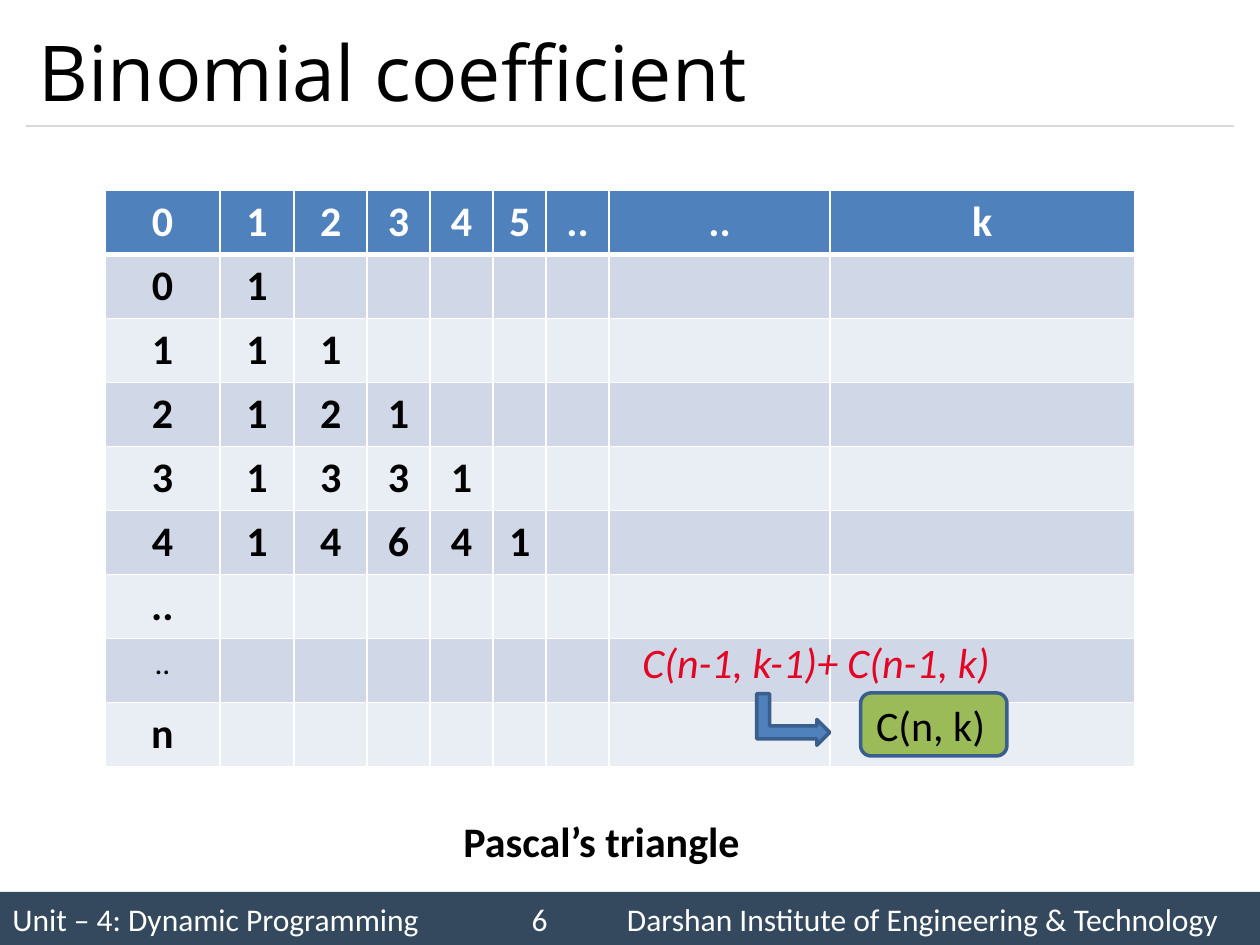
"""Build the slide on binomial coefficients and Pascal's triangle."""
from math import comb

from lxml.etree import SubElement as Sub
from pptx import Presentation
from pptx.dml.color import RGBColor as RGB
from pptx.enum.shapes import MSO_CONNECTOR as Link, MSO_SHAPE as Kind
from pptx.enum.text import MSO_ANCHOR as Anchor, PP_ALIGN as Align
from pptx.oxml.ns import qn
from pptx.util import Cm, Pt

WHITE = RGB(0xFF, 0xFF, 0xFF)
BLACK = RGB(0, 0, 0)
NAVY = RGB(0x34, 0x49, 0x5E)
GREY = RGB(0xD9, 0xD9, 0xD9)
BLUE = RGB(0x4F, 0x81, 0xBD)
EDGE = RGB(0x3A, 0x5F, 0x8C)
GREEN = RGB(0x9B, 0xBB, 0x59)
RED = RGB(0xE4, 0x05, 0x24)
BANDS = RGB(0xD0, 0xD8, 0xE8), RGB(0xE9, 0xED, 0xF4)

HEAD = ["0", "1", "2", "3", "4", "5", "..", "..", "k"]
ROWS = [[n] + [comb(n, k) for k in range(n + 1)] for n in range(5)]
GRID = [HEAD, *ROWS, [".."], [".."], ["n"]]
SMALL = 7
WIDTHS = [2.31, 1.5, 1.47, 1.27, 1.27, 1.07, 1.27, 4.45, 6.14]
HIGH = 1.29
FOOT = ["Unit – 4: Dynamic Programming", "6",
        "Darshan Institute of Engineering & Technology"]
TABS = [10.47, 12.39]
NOTES = [
    ("C(n-1, k-1)+ C(n-1, k)", (12.7, 12.7, 7.59, 1.27), RED, False, True),
    ("Pascal’s triangle", (9.09, 16.31, 6.15, 1.27), BLACK, True, False),
]


def style(para, size, color, bold=False, italic=False, name="Calibri"):
    for run in para.runs:
        font = run.font
        font.name, font.size = name, Pt(size)
        font.bold, font.italic = bold, italic
        font.color.rgb = color


def write(slide, text, box, wrap=True):
    frame = slide.shapes.add_textbox(*map(Cm, box)).text_frame
    frame.word_wrap = wrap
    frame.text = text
    return frame


def draw(slide, kind, box, fill, edge=None):
    shape = slide.shapes.add_shape(kind, *map(Cm, box))
    shape.shadow.inherit = False
    shape.fill.solid()
    shape.fill.fore_color.rgb = fill
    if edge is None:
        shape.line.fill.background()
    else:
        shape.line.color.rgb = edge
        shape.line.width = Pt(2)
    return shape


def label(shape, text, size, color):
    frame = shape.text_frame
    frame.vertical_anchor = Anchor.MIDDLE
    frame.text = text
    para = frame.paragraphs[0]
    para.alignment = Align.LEFT
    style(para, size, color)
    return para


def border(cell, row):
    props = cell._tc.get_or_add_tcPr()
    thick = {("B", 0), ("T", 1)}
    for side in "LRTB":
        width = Pt(3 if (side, row) in thick else 1)
        line = Sub(props, qn(f"a:ln{side}"), w=str(width))
        Sub(Sub(line, qn("a:solidFill")), qn("a:srgbClr"), val=str(WHITE))


def add_grid(slide):
    table = slide.shapes.add_table(
        len(GRID), len(HEAD), Cm(2.12), Cm(3.84),
        Cm(sum(WIDTHS)), Cm(HIGH * len(GRID))).table
    for col, width in zip(table.columns, WIDTHS):
        col.width = Cm(width)
    for r, vals in enumerate(GRID):
        table.rows[r].height = Cm(HIGH)
        for c in range(len(HEAD)):
            cell = table.cell(r, c)
            border(cell, r)
            cell.fill.solid()
            cell.fill.fore_color.rgb = BANDS[(r - 1) % 2] if r else BLUE
            if c < len(vals):
                cell.text = str(vals[c])
                para = cell.text_frame.paragraphs[0]
                para.alignment = Align.CENTER
                small = r == SMALL
                style(para, 18 if small else 24, BLACK if r else WHITE,
                      bold=not small)


def add_foot(slide):
    bar = draw(slide, Kind.RECTANGLE, (0, 17.98, 25.4, 1.07), NAVY)
    para = label(bar, "\t".join(FOOT), 18, WHITE)
    stops = Sub(para._p.get_or_add_pPr(), qn("a:tabLst"))
    for pos in TABS:
        Sub(stops, qn("a:tab"), pos=str(Cm(pos)), algn="l")


def add_rule(slide):
    rule = slide.shapes.add_connector(
        Link.STRAIGHT, Cm(0.53), Cm(2.54), Cm(24.87), Cm(2.54))
    rule.line.color.rgb = GREY
    rule.line.width = Pt(0.75)
    Sub(rule._element.spPr, qn("a:effectLst"))


def main():
    deck = Presentation()
    deck.slide_width, deck.slide_height = Cm(25.4), Cm(19.05)
    slide = deck.slides.add_slide(deck.slide_layouts[6])
    add_foot(slide)
    add_rule(slide)
    title = write(slide, "Binomial coefficient", (0.53, 0.3, 24.33, 2.24))
    title.vertical_anchor = Anchor.MIDDLE
    style(title.paragraphs[0], 44, BLACK, name="Open Sans")
    add_grid(slide)
    arrow = draw(slide, Kind.BENT_UP_ARROW, (15.47, 13.77, 1.04, 1.47),
                 BLUE, EDGE)
    arrow.rotation = 90
    goal = draw(slide, Kind.ROUNDED_RECTANGLE, (17.35, 13.97, 2.95, 1.27),
                GREEN, EDGE)
    label(goal, "C(n, k)", 24, BLACK)
    for text, box, color, bold, italic in NOTES:
        frame = write(slide, text, box, wrap=not italic)
        style(frame.paragraphs[0], 24, color, bold, italic)
    deck.save("out.pptx")


if __name__ == "__main__":
    main()
